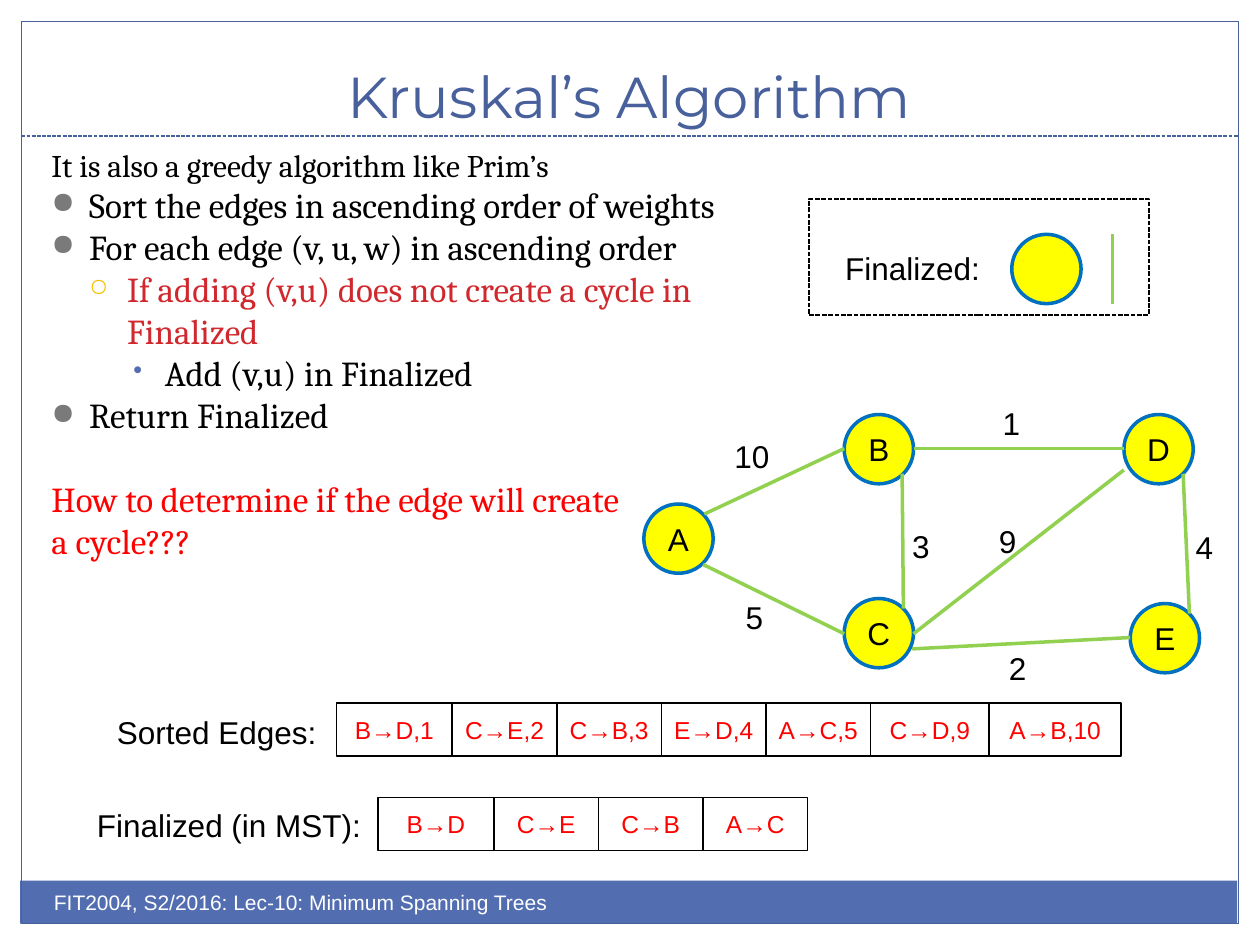
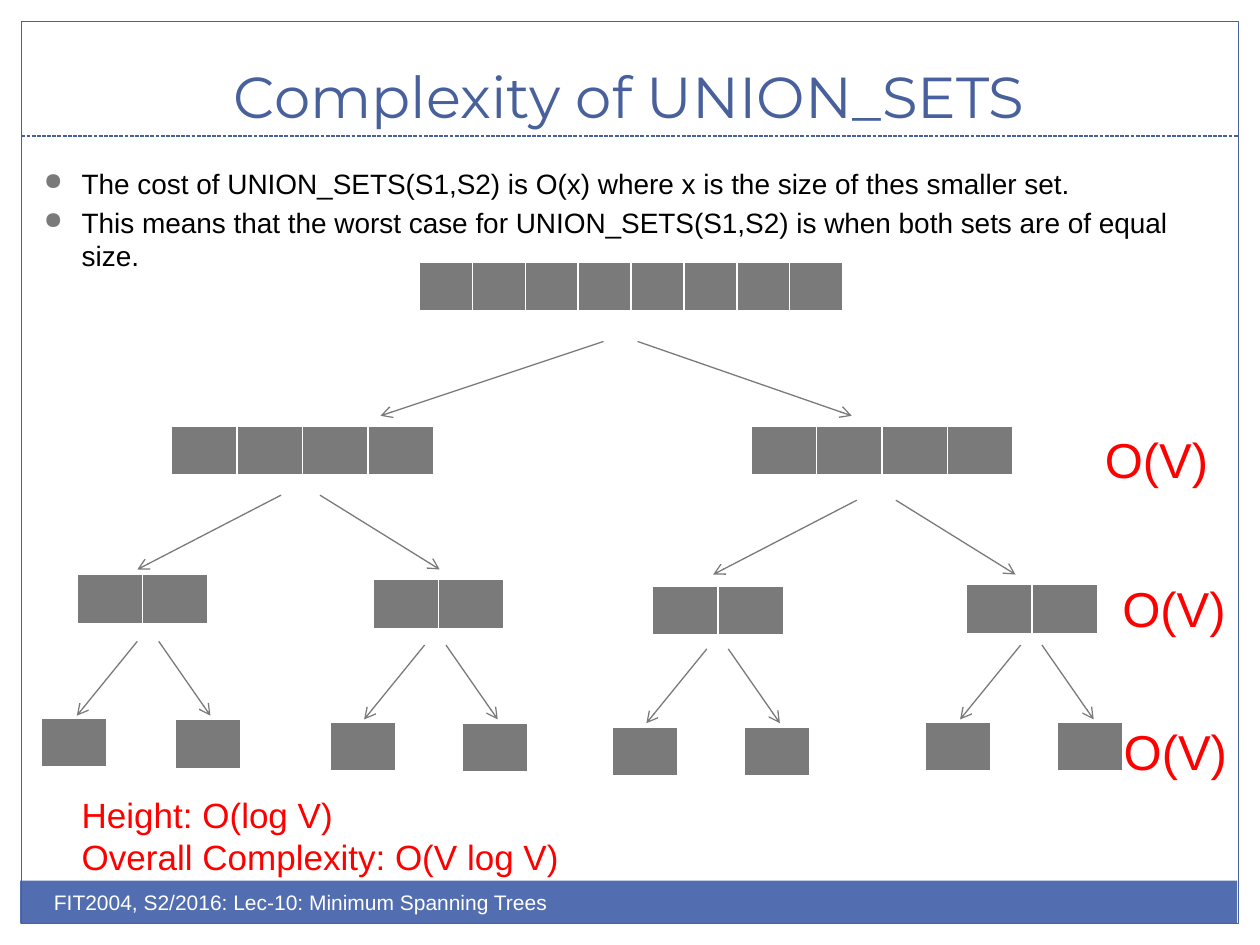
from lxml import etree
from pptx import Presentation
from pptx.dml.color import RGBColor
from pptx.enum.dml import MSO_LINE
from pptx.enum.shapes import MSO_CONNECTOR, MSO_SHAPE
from pptx.enum.text import MSO_ANCHOR, PP_ALIGN
from pptx.oxml import parse_xml
from pptx.oxml.ns import nsdecls, qn
from pptx.util import Inches, Pt

WHITE = RGBColor(0xFF, 0xFF, 0xFF)
BLACK = RGBColor(0x00, 0x00, 0x00)
RED = RGBColor(0xFF, 0x00, 0x00)
CRIMSON = RGBColor(0xD1, 0x28, 0x2E)
NAVY = RGBColor(0x48, 0x60, 0x9B)
BAND = RGBColor(0x52, 0x6D, 0xB0)
GREY = RGBColor(0x7A, 0x7A, 0x7A)
GOLD = RGBColor(0xF5, 0xC2, 0x01)
YELLOW = RGBColor(0xFF, 0xFF, 0x00)
BLUE = RGBColor(0x00, 0x70, 0xC0)
GREEN = RGBColor(0x92, 0xD0, 0x50)


def add_box(slide, kind, at, text="", size=18, color=BLACK, font="Arial", align=PP_ALIGN.LEFT,
            anchor=MSO_ANCHOR.TOP, wrap=False, fill=None, line=None, width=1, dash=None):
    """Add a preset shape, or a text box when kind is None."""
    at = [Inches(n) for n in at]
    if kind is None:
        box = slide.shapes.add_textbox(*at)
    else:
        box = slide.shapes.add_shape(kind, *at)
        box.shadow.inherit = False
    if fill is None:
        box.fill.background()
    else:
        box.fill.solid()
        box.fill.fore_color.rgb = fill
    if line is None:
        box.line.fill.background()
    else:
        box.line.color.rgb = line
        box.line.width = Pt(width)
        box.line.dash_style = dash
    frame = box.text_frame
    frame.word_wrap = wrap
    frame.vertical_anchor = anchor
    if text:
        frame.text = text
        for paragraph in frame.paragraphs:
            paragraph.alignment = align
            paragraph.font.size = Pt(size)
            paragraph.font.name = font
            paragraph.font.color.rgb = color
    return frame


def add_line(slide, start, end, color, width, dash=None, arrow=False):
    line = slide.shapes.add_connector(MSO_CONNECTOR.STRAIGHT, *[Inches(n) for n in (*start, *end)])
    line.line.color.rgb = color
    line.line.width = Pt(width)
    line.line.dash_style = dash
    if arrow:
        etree.SubElement(line.line._get_or_add_ln(), qn("a:tailEnd"), type="arrow")
    etree.SubElement(line._element.spPr, qn("a:effectLst"))


prs = Presentation()
prs.slide_width = Inches(10)
prs.slide_height = Inches(7.5)

# Bullet levels: indent, hanging, character, colour, size in percent
BULLETS = {
    1: (0.3, 0.3, "●", GREY, 85),
    2: (0.6, 0.3, "○", GOLD, 70),
    3: (0.9, 0.25, "•", BAND, 75),
}

# Body lines: text, bullet level (0 for none), size, colour, space before
KRUSKAL_STEPS = [
    ("It is also a greedy algorithm like Prim’s", 0, 18, BLACK, 0),
    ("Sort the edges in ascending order of weights", 1, 20, BLACK, 0),
    ("For each edge (v, u, w) in ascending order", 1, 20, BLACK, 0),
    ("If adding (v,u) does not create a cycle in Finalized", 2, 20, CRIMSON, 0),
    ("Add (v,u) in Finalized", 3, 20, BLACK, 0),
    ("Return Finalized", 1, 20, BLACK, 0),
    ("How to determine if the edge will create", 0, 20, RED, 24),
    ("a cycle???", 0, 20, RED, 0),
]
UNION_COST = [
    ("The cost of UNION_SETS(S1,S2) is O(x) where x is the size of thes smaller set.",
     1, 16, BLACK, 0),
    ("This means that the worst case for UNION_SETS(S1,S2) is when both sets are of equal size.",
     1, 16, BLACK, 3),
]

# Frame, footer, title and body of both slides
slides = []
for title, body, body_at, body_font in [
    ("Kruskal’s Algorithm", KRUSKAL_STEPS, (0.31, 1.11, 6.11, 3.92), "Cambria"),
    ("Complexity of UNION_SETS", UNION_COST, (0.25, 1.27, 9.3, 1.5), "Arial"),
]:
    slide = prs.slides.add_slide(prs.slide_layouts[6])
    slides.append(slide)
    add_box(slide, MSO_SHAPE.RECTANGLE, (0.16, 6.99, 9.66, 0.34), fill=BAND)
    add_box(slide, MSO_SHAPE.RECTANGLE, (0.17, 0.17, 9.66, 7.16), line=NAVY, width=0.75)
    add_line(slide, (0.17, 1.08), (9.83, 1.08), NAVY, 0.75, MSO_LINE.SQUARE_DOT)
    add_box(slide, None, (0.33, 0.25, 9.33, 0.83), title, 33, NAVY, "Montserrat",
            PP_ALIGN.CENTER, MSO_ANCHOR.BOTTOM, wrap=True)
    add_box(slide, None, (0.33, 7.01, 5, 0.4), "FIT2004, S2/2016: Lec-10: Minimum Spanning Trees",
            12, WHITE, wrap=True)
    frame = add_box(slide, None, body_at, wrap=True)
    frame.text = "\n".join(entry[0] for entry in body)
    for paragraph, (_, level, size, color, before) in zip(frame.paragraphs, body):
        if level:
            indent, hanging, char, bullet_color, percent = BULLETS[level]
            props = paragraph._p.get_or_add_pPr()
            props.set("marL", str(Inches(indent)))
            props.set("indent", str(-Inches(hanging)))
            bullet_clr = etree.SubElement(props, qn("a:buClr"))
            etree.SubElement(bullet_clr, qn("a:srgbClr"), val=str(bullet_color))
            etree.SubElement(props, qn("a:buSzPct"), val=str(percent * 1000))
            etree.SubElement(props, qn("a:buChar"), char=char)
        if before:
            paragraph.space_before = Pt(before)
        paragraph.font.size = Pt(size)
        paragraph.font.name = body_font
        paragraph.font.color.rgb = color
kruskal, union = slides

# Slide 1: graph nodes, with an unnamed one for the legend
NODE = 0.55
for name, left, top in [("A", 5.11, 4), ("B", 6.7, 3.29), ("C", 6.7, 4.75), ("D", 8.92, 3.29),
                        ("E", 8.97, 4.79), ("", 8.03, 1.86)]:
    add_box(kruskal, MSO_SHAPE.OVAL, (left, top, NODE, NODE), name, align=PP_ALIGN.CENTER,
            anchor=MSO_ANCHOR.MIDDLE, fill=YELLOW, line=BLUE, width=2)

# Graph edges and their weights
for start, end, weight, left, top in [
    ((5.59, 4.08), (6.7, 3.56), "10", 5.73, 3.42),
    ((5.58, 4.48), (6.7, 5.03), "5", 5.82, 4.7),
    ((7.25, 3.56), (8.92, 3.56), "1", 7.86, 3.16),
    ((9.44, 4.87), (9.39, 3.76), "4", 9.39, 4.14),
    ((7.25, 5.03), (8.92, 3.73), "9", 7.83, 4.09),
    ((7.17, 4.83), (7.16, 3.76), "3", 7.14, 4.13),
    ((7.24, 5.15), (8.97, 5.06), "2", 7.91, 5.1),
]:
    add_line(kruskal, start, end, GREEN, 2)
    add_box(kruskal, None, (left, top, 0.48 if len(weight) > 1 else 0.34, 0.4), weight)

# Legend
add_box(kruskal, MSO_SHAPE.RECTANGLE, (6.42, 1.58, 2.7, 0.92), line=BLACK, width=0.9,
        dash=MSO_LINE.SQUARE_DOT)
add_box(kruskal, None, (6.61, 1.93, 1.28, 0.4), "Finalized:")
add_line(kruskal, (8.83, 1.86), (8.83, 2.41), GREEN, 2)

# Rows of edges
add_box(kruskal, None, (0.83, 5.61, 1.8, 0.4), "Sorted Edges:")
add_box(kruskal, None, (0.67, 6.35, 2.32, 0.4), "Finalized (in MST):")
SORTED_EDGES = [("B→D,1", 0.92), ("C→E,2", 0.83), ("C→B,3", 0.83), ("E→D,4", 0.83),
                ("A→C,5", 0.83), ("C→D,9", 0.94), ("A→B,10", 1.05)]
MST_EDGES = [("B→D", 0.92), ("C→E", 0.83), ("C→B", 0.83), ("A→C", 0.83)]
for edges, left, top in [(SORTED_EDGES, 2.67, 5.58), (MST_EDGES, 3, 6.33)]:
    for edge, width in edges:
        add_box(kruskal, MSO_SHAPE.RECTANGLE, (left, top, width, 0.42), edge, 14, RED,
                align=PP_ALIGN.CENTER, anchor=MSO_ANCHOR.MIDDLE, line=BLACK)
        left += width

# Slide 2: sets as one-row tables (members, member width, left, top)
SETS = [
    (8, 0.42, 3.33, 2.08),
    (4, 0.52, 1.36, 3.38), (4, 0.52, 5.96, 3.38),
    (2, 0.52, 0.61, 4.56), (2, 0.52, 2.96, 4.6), (2, 0.52, 5.18, 4.65), (2, 0.52, 7.67, 4.64),
    (1, 0.52, 0.33, 5.7), (1, 0.52, 1.39, 5.71), (1, 0.52, 2.62, 5.73), (1, 0.52, 3.67, 5.74),
    (1, 0.52, 4.86, 5.77), (1, 0.52, 5.91, 5.77), (1, 0.52, 7.34, 5.73), (1, 0.52, 8.39, 5.73),
]
for members, width, left, top in SETS:
    table = union.shapes.add_table(1, members, Inches(left), Inches(top),
                                   Inches(members * width), Inches(0.4)).table
    for column, cell in zip(table.columns, table.rows[0].cells):
        column.width = Inches(width)
        cell.margin_top = cell.margin_bottom = 0
        props = cell._tc.get_or_add_tcPr()
        for side, weight in [("L", 1), ("R", 1), ("T", 1), ("B", 3)]:
            props.append(parse_xml(
                f'<a:ln{side} {nsdecls("a")} w="{Pt(weight)}"><a:solidFill>'
                f'<a:srgbClr val="{WHITE}"/></a:solidFill></a:ln{side}>'))
        cell.fill.solid()
        cell.fill.fore_color.rgb = GREY

# Forks: left arrow's start, its reach, gap to the right arrow, its reach
DROP = 0.59
for x, y, left_reach, gap, right_reach in [
    (4.79, 2.71, 1.77, 0.27, 1.7),
    (2.23, 3.93, 1.14, 0.31, 0.95), (6.8, 3.97, 1.14, 0.31, 0.95),
    (1.09, 5.09, 0.48, 0.17, 0.41), (3.37, 5.12, 0.48, 0.17, 0.41),
    (5.61, 5.15, 0.48, 0.17, 0.41), (8.1, 5.12, 0.48, 0.17, 0.41),
]:
    for start, reach in [(x, -left_reach), (x + gap, right_reach)]:
        add_line(union, (start, y), (start + reach, y + DROP), GREY, 0.75, arrow=True)

# Cost per level and overall
for left, top in [(8.67, 3.36), (8.81, 4.54), (8.82, 5.68)]:
    add_box(union, None, (left, top, 1.12, 0.57), "O(V)", 28, RED, wrap=True)
add_box(union, None, (0.55, 6.25, 5.16, 0.77),
        "Height: O(log V)\nOverall Complexity: O(V log V)", 20, RED, wrap=True)

prs.save("out.pptx")
